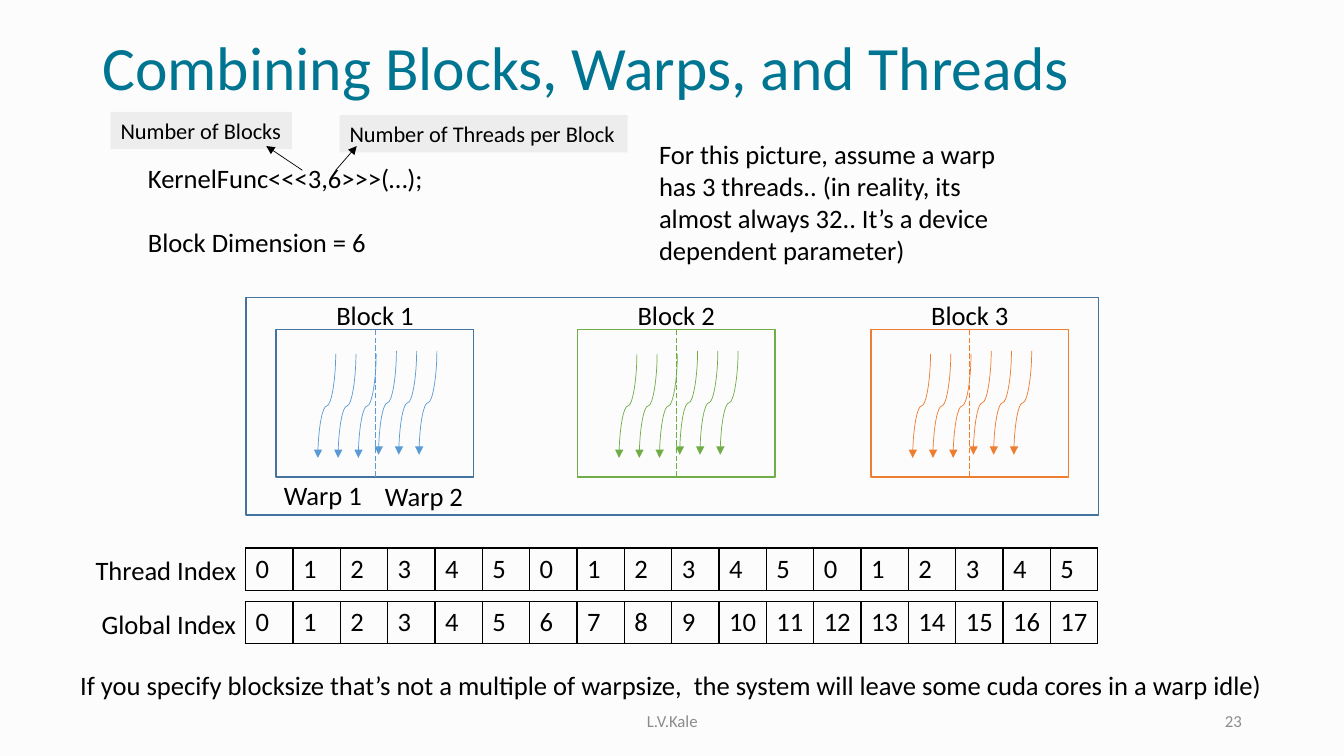
import lxml.etree
import pptx
import pptx.dml.color
import pptx.enum.dml
import pptx.enum.shapes
import pptx.enum.text
import pptx.oxml.ns
import pptx.util

Cm, Pt = pptx.util.Cm, pptx.util.Pt
RGBColor = pptx.dml.color.RGBColor
ALIGN = pptx.enum.text.PP_ALIGN
ANCHOR = pptx.enum.text.MSO_ANCHOR
CONNECTOR = pptx.enum.shapes.MSO_CONNECTOR
LONG_DASH = pptx.enum.dml.MSO_LINE.LONG_DASH
qn = pptx.oxml.ns.qn

BLACK = RGBColor(0x00, 0x00, 0x00)
PAPER = RGBColor(0xFC, 0xFC, 0xFC)
TEAL = RGBColor(0x00, 0x75, 0x92)
GREY = RGBColor(0x8C, 0x8C, 0x8C)
PALE = RGBColor(0xED, 0xED, 0xED)
STEEL = RGBColor(0x43, 0x73, 0x9E)
BLUE = RGBColor(0x5B, 0x9B, 0xD5)
GREEN = RGBColor(0x70, 0xAD, 0x47)
ORANGE = RGBColor(0xED, 0x7D, 0x31)

BLOCK_TOP, BLOCK_W, BLOCK_H = 8.31, 4.98, 3.71
THREADS, WARP = 6, 3
BLOCKS = [("Block 1", 6.96, STEEL, BLUE),
          ("Block 2", 14.55, GREEN, GREEN),
          ("Block 3", 21.95, ORANGE, ORANGE)]


class Deck:
    """Holds the text style and the current slide, and draws elements in centimetres."""

    font = "Calibri"
    size = 19

    def __init__(self, width, height):
        """Start a presentation with one title-only slide."""
        self.prs = pptx.Presentation()
        self.prs.slide_width, self.prs.slide_height = Cm(width), Cm(height)
        self.slide = self.prs.slides.add_slide(self.prs.slide_layouts[5])
        fill = self.slide.background.fill
        fill.solid()
        fill.fore_color.rgb = PAPER

    def set_text(self, tf, text, size=None, color=BLACK, align=ALIGN.LEFT):
        """Put text in a frame and format its runs."""
        tf.text = text
        for p in tf.paragraphs:
            p.alignment = align
            for r in p.runs:
                r.font.name = self.font
                r.font.size = Pt(size or self.size)
                r.font.color.rgb = color

    def title(self, text, x, y, w, h):
        """Place and format the title placeholder."""
        sp = self.slide.shapes.title
        sp.left, sp.top, sp.width, sp.height = Cm(x), Cm(y), Cm(w), Cm(h)
        self.set_text(sp.text_frame, text, 44, TEAL)
        sp.text_frame.vertical_anchor = ANCHOR.MIDDLE
        sp.text_frame.paragraphs[0].line_spacing = 0.9

    def text(self, text, x, y, w, h, anchor=ANCHOR.TOP, **style):
        """Add a wrapping text box."""
        tf = self.slide.shapes.add_textbox(Cm(x), Cm(y), Cm(w), Cm(h)).text_frame
        tf.word_wrap = True
        tf.vertical_anchor = anchor
        self.set_text(tf, text, **style)
        return tf

    def rect(self, x, y, w, h, line=None, width=1, fill=None):
        """Add a rectangle with an optional outline and fill."""
        shape = pptx.enum.shapes.MSO_SHAPE.RECTANGLE
        sp = self.slide.shapes.add_shape(shape, Cm(x), Cm(y), Cm(w), Cm(h))
        sp.shadow.inherit = False
        if fill:
            sp.fill.solid()
            sp.fill.fore_color.rgb = fill
        else:
            sp.fill.background()
        if line:
            sp.line.color.rgb = line
            sp.line.width = Pt(width)
        else:
            sp.line.fill.background()
        return sp

    def callout(self, text, x, y, w, h):
        """Add a shaded label."""
        tf = self.rect(x, y, w, h, fill=PALE).text_frame
        tf.word_wrap = True
        tf.vertical_anchor = ANCHOR.TOP
        self.set_text(tf, text, 16)

    def line(self, x1, y1, x2, y2, color, kind=CONNECTOR.STRAIGHT, dash=None, arrow=False):
        """Add a thin connector."""
        c = self.slide.shapes.add_connector(kind, Cm(x1), Cm(y1), Cm(x2), Cm(y2))
        c.line.color.rgb = color
        c.line.width = Pt(0.5)
        if dash:
            c.line.dash_style = dash
        spPr = c._element.spPr
        if arrow:
            lxml.etree.SubElement(spPr.find(qn("a:ln")), qn("a:tailEnd"), type="triangle")
        lxml.etree.SubElement(spPr, qn("a:effectLst"))
        return c

    def thread(self, x, y, shift, drop, color):
        """Add a wavy arrow that falls from (x, y) and drifts left."""
        cx, cy = x - shift / 2, y + drop / 2
        c = self.line(cx - drop / 2, cy - shift / 2, cx + drop / 2, cy + shift / 2,
                      color, CONNECTOR.CURVE, arrow=True)
        c._element.spPr.find(qn("a:xfrm")).set("rot", "5400000")

    def block(self, name, x, outline, color):
        """Add a block with its threads and the line between its warps."""
        for i in range(THREADS):
            top = 8.92 if i < WARP else 8.84
            self.thread(x + 1.5 + 0.51 * i, top, 0.45, 2.62, color)
        self.rect(x, BLOCK_TOP, BLOCK_W, BLOCK_H, outline)
        middle = x + BLOCK_W / 2
        self.line(middle, BLOCK_TOP, middle, BLOCK_TOP + BLOCK_H, color, dash=LONG_DASH)
        self.text(name, x, 7.41, BLOCK_W, 1.07, align=ALIGN.CENTER)

    def index_row(self, label, values, y):
        """Add a labelled one-row table of indices."""
        width = Cm(21.49)
        frame = self.slide.shapes.add_table(1, len(values), Cm(6.19), Cm(y), width, Cm(1.06))
        table = frame.table
        table.first_row = table.horz_banding = False
        for col, cell, value in zip(table.columns, table.rows[0].cells, values):
            col.width = width // len(values)
            self.set_text(cell.text_frame, str(value))
            cell.fill.background()
            self.border(cell)
        self.text(label, 1.63, y + 0.03, 4.57, 1.07, align=ALIGN.RIGHT)

    def border(self, cell):
        """Outline a table cell in black."""
        tcPr = cell._tc.get_or_add_tcPr()
        for i, side in enumerate("LRTB"):
            ln = lxml.etree.Element(qn("a:ln" + side), w=str(Pt(1)))
            fill = lxml.etree.SubElement(ln, qn("a:solidFill"))
            lxml.etree.SubElement(fill, qn("a:srgbClr"), val=str(BLACK))
            tcPr.insert(i, ln)


def main():
    """Build the slide and save it."""
    s = Deck(33.87, 19.05)
    s.title("Combining Blocks, Warps, and Threads", 2.33, 0.71, 29.21, 2.13)

    s.rect(6.2, 7.5, 21.49, 5.48, STEEL)
    for block in BLOCKS:
        s.block(*block)
    s.text("Warp 1", 4.39, 11.94, 4.98, 1.07, align=ALIGN.RIGHT)
    s.text("Warp 2", 9.45, 11.98, 4.98, 1.07)

    total = THREADS * len(BLOCKS)
    s.index_row("Thread Index", [i % THREADS for i in range(total)], 13.81)
    s.index_row("Global Index", list(range(total)), 15.16)

    tf = s.text("KernelFunc<<<3,6>>>(…);\nBlock Dimension = 6", 3.48, 3.96, 10.13, 2.69)
    tf.paragraphs[1].space_before = Pt(23)
    s.text("For this picture, assume a warp has 3 threads.. (in reality, its almost "
           "always 32.. It’s a device dependent parameter)", 16.36, 3.35, 9.17, 3.51)
    s.text("If you specify blocksize that’s not a multiple of warpsize,  the system will "
           "leave some cuda cores in a warp idle)", 1.63, 16.74, 30.56, 1.07,
           align=ALIGN.CENTER)

    s.callout("Number of Blocks", 2.79, 2.82, 4.57, 0.94)
    s.callout("Number of Threads per Block", 8.56, 2.9, 7.26, 0.94)
    s.line(7.62, 4.29, 6.71, 3.68, BLACK, arrow=True)
    s.line(8.46, 4.29, 8.99, 3.68, BLACK, arrow=True)

    footer = {"anchor": ANCHOR.MIDDLE, "size": 12, "color": GREY}
    s.text("L.V.Kale", 11.23, 17.65, 11.43, 1.02, align=ALIGN.CENTER, **footer)
    s.text("23", 23.93, 17.65, 7.62, 1.02, align=ALIGN.RIGHT, **footer)

    s.prs.save("out.pptx")


if __name__ == "__main__":
    main()
